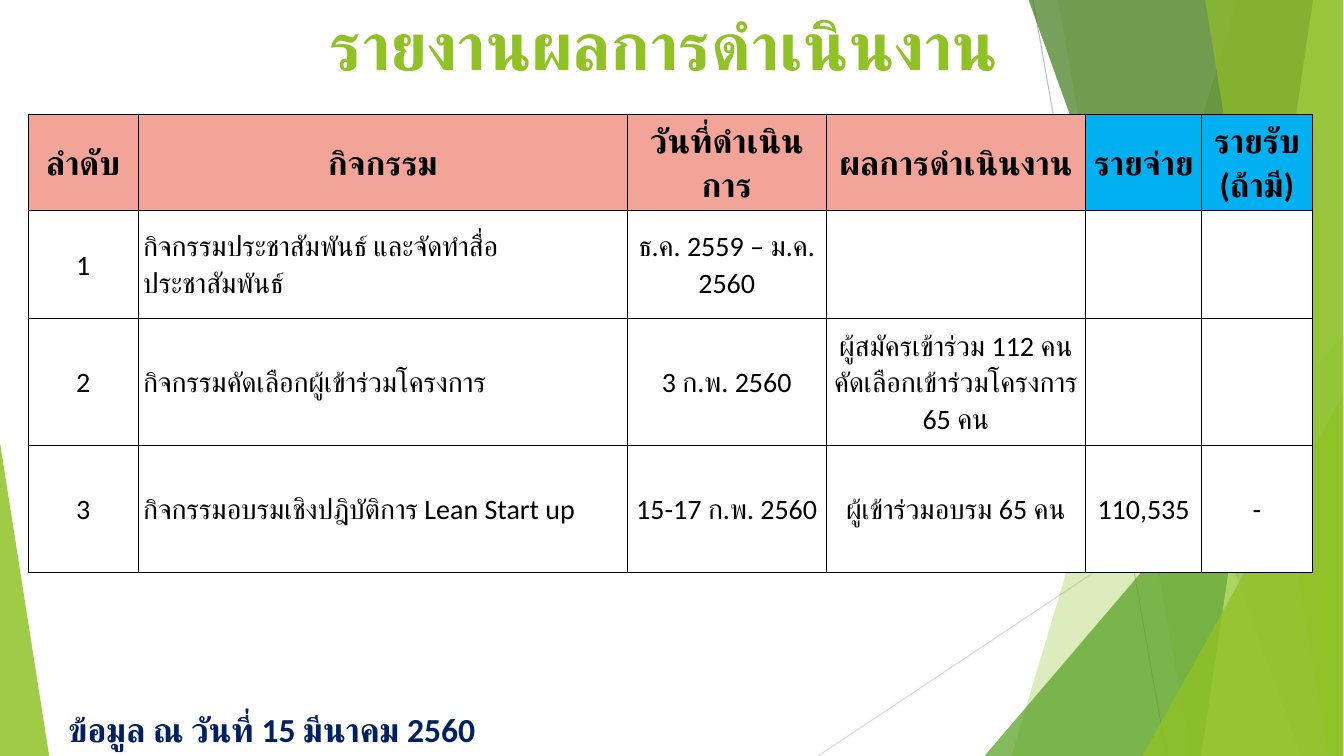
from lxml import etree
from pptx import Presentation, util as u
from pptx.dml.color import RGBColor
from pptx.enum import shapes, text
from pptx.oxml.ns import qn

WIDTH, HEIGHT, EDGE = 33.88, 19.05, 33.86
GREEN, NAVY, BLACK, WHITE = "90C226", "002060", "000000", "FFFFFF"
SALMON, SKY = "F2A499", "00B0F0"
LEFT, CENTER = text.PP_ALIGN.LEFT, text.PP_ALIGN.CENTER

# Top-left x, bottom-left x, colour, opacity in percent
BANDS_BEHIND = [(31.19, 25.5, GREEN, 30), (26.67, 30.02, GREEN, 20)]
BANDS_FRONT = [(25.93, 32.79, "3F7819", 70), (33.1, 30.28, "C0E474", 70),
               (30.38, 33.48, GREEN, 65)]

COLUMNS = [2.77, 12.34, 5, 6.55, 2.92, 2.79]
ROWS = [2.18, 2.72, 3.2, 3.2]
HEADER = ["ลำดับ", "กิจกรรม", "วันที่ดำเนินการ", "ผลการดำเนินงาน",
          "รายจ่าย", "รายรับ\n(ถ้ามี)"]
HEADER_FILLS = [SALMON] * 4 + [SKY] * 2
ACTIVITIES = [
    ["1", "กิจกรรมประชาสัมพันธ์ และจัดทำสื่อประชาสัมพันธ์",
     "ธ.ค. 2559 – ม.ค. 2560", "", "", ""],
    ["2", "กิจกรรมคัดเลือกผู้เข้าร่วมโครงการ", "3 ก.พ. 2560",
     "ผู้สมัครเข้าร่วม 112 คน คัดเลือกเข้าร่วมโครงการ 65 คน", "", ""],
    ["3", "กิจกรรมอบรมเชิงปฎิบัติการ Lean Start up", "15-17 ก.พ. 2560",
     "ผู้เข้าร่วมอบรม 65 คน", "110,535", "-"],
]


def rgb(color):
    return RGBColor.from_string(color)


class SlideBuilder:
    font = "Calibri"

    def __init__(self, slide):
        self.slide = slide

    def set_text(self, frame, words, size, color, bold, align=LEFT, spacing=1.0):
        """Fill a text frame, one paragraph per line of words."""
        frame.word_wrap = True
        frame.text = words
        for para in frame.paragraphs:
            para.alignment = align
            para.line_spacing = spacing
            para.font.size = u.Pt(size)
            para.font.bold = bold
            para.font.color.rgb = rgb(color)
            para.font.name = self.font
            defaults = para._p.pPr.find(qn("a:defRPr"))
            etree.SubElement(defaults, qn("a:cs"), typeface=self.font)

    def line(self, x1, y1, x2, y2, color):
        line = self.slide.shapes.add_connector(
            shapes.MSO_CONNECTOR.STRAIGHT, *map(u.Cm, (x1, y1, x2, y2)))
        line.line.color.rgb = rgb(color)
        line.line.width = u.Pt(0.75)
        etree.SubElement(line._element.spPr, qn("a:effectLst"))

    def paint(self, shape, color, opacity):
        """Give a shape a translucent fill without outline or shadow."""
        shape.shadow.inherit = False
        shape.fill.solid()
        shape.fill.fore_color.rgb = rgb(color)
        shade = shape._element.spPr.find(".//" + qn("a:srgbClr"))
        etree.SubElement(shade, qn("a:alpha"), val=str(opacity * 1000))
        shape.line.fill.background()

    def band(self, top_x, bottom_x, color, opacity):
        """Draw a full-height band from a slanted side to the right edge."""
        outline = self.slide.shapes.build_freeform(u.Cm(top_x), 0)
        corners = [(EDGE, 0), (EDGE, HEIGHT), (bottom_x, HEIGHT)]
        outline.add_line_segments([(u.Cm(x), u.Cm(y)) for x, y in corners])
        self.paint(outline.convert_to_shape(), color, opacity)

    def triangle(self, x, y, w, h, apex, color, opacity):
        shape = self.slide.shapes.add_shape(
            shapes.MSO_SHAPE.ISOSCELES_TRIANGLE, *map(u.Cm, (x, y, w, h)))
        shape.adjustments[0] = apex
        self.paint(shape, color, opacity)

    def textbox(self, x, y, w, h, words, size, color, anchor, **style):
        box = self.slide.shapes.add_textbox(*map(u.Cm, (x, y, w, h)))
        box.text_frame.vertical_anchor = anchor
        self.set_text(box.text_frame, words, size, color, True, **style)

    def border(self, cell):
        properties = cell._tc.get_or_add_tcPr()
        for place, side in enumerate(("a:lnL", "a:lnR", "a:lnT", "a:lnB")):
            edge = etree.Element(qn(side), w=str(u.Pt(0.45)))
            fill = etree.SubElement(edge, qn("a:solidFill"))
            etree.SubElement(fill, qn("a:srgbClr"), val=BLACK)
            properties.insert(place, edge)

    def table(self, x, y, columns, rows, content, header_fills):
        table = self.slide.shapes.add_table(
            len(rows), len(columns),
            *map(u.Cm, (x, y, sum(columns), sum(rows)))).table
        table.first_row = table.horz_banding = False
        for column, width in zip(table.columns, columns):
            column.width = u.Cm(width)
        for row, height in zip(table.rows, rows):
            row.height = u.Cm(height)
        for r, line in enumerate(content):
            for c, words in enumerate(line):
                cell = table.cell(r, c)
                header = r == 0
                cell.vertical_anchor = text.MSO_ANCHOR.MIDDLE
                cell.margin_left = cell.margin_right = u.Cm(0.13)
                cell.margin_top = cell.margin_bottom = u.Cm(0.13)
                cell.fill.solid()
                cell.fill.fore_color.rgb = rgb(header_fills[c] if header else WHITE)
                self.border(cell)
                self.set_text(cell.text_frame, words, 24 if header else 20, BLACK,
                              header, LEFT if c == 1 and not header else CENTER, 1.07)


def main():
    deck = Presentation()
    deck.slide_width, deck.slide_height = u.Cm(WIDTH), u.Cm(HEIGHT)
    page = SlideBuilder(deck.slides.add_slide(deck.slide_layouts[6]))

    page.line(26.04, 0, 29.41, HEIGHT, "BFBFBF")
    page.line(EDGE, 10.24, 20.62, HEIGHT, "D9D9D9")
    for band in BANDS_BEHIND:
        page.band(*band)
    page.triangle(24.82, 8.46, 9.04, 10.59, 1, "54A021", 72)
    for band in BANDS_FRONT:
        page.band(*band)
    page.triangle(28.8, 9.98, 5.05, 9.07, 1, GREEN, 80)
    page.triangle(0, 11.15, 1.24, 7.9, 0, GREEN, 85)

    page.textbox(1.96, 0, 29.54, 2.26, "รายงานผลการดำเนินงาน", 48, GREEN,
                 text.MSO_ANCHOR.BOTTOM, align=CENTER, spacing=0.9)
    page.table(0.71, 2.87, COLUMNS, ROWS, [HEADER] + ACTIVITIES, HEADER_FILLS)
    page.textbox(1.47, 17.75, 31.75, 1.27, "ข้อมูล ณ วันที่ 15 มีนาคม 2560",
                 24, NAVY, text.MSO_ANCHOR.TOP)
    deck.save("out.pptx")


if __name__ == "__main__":
    main()
